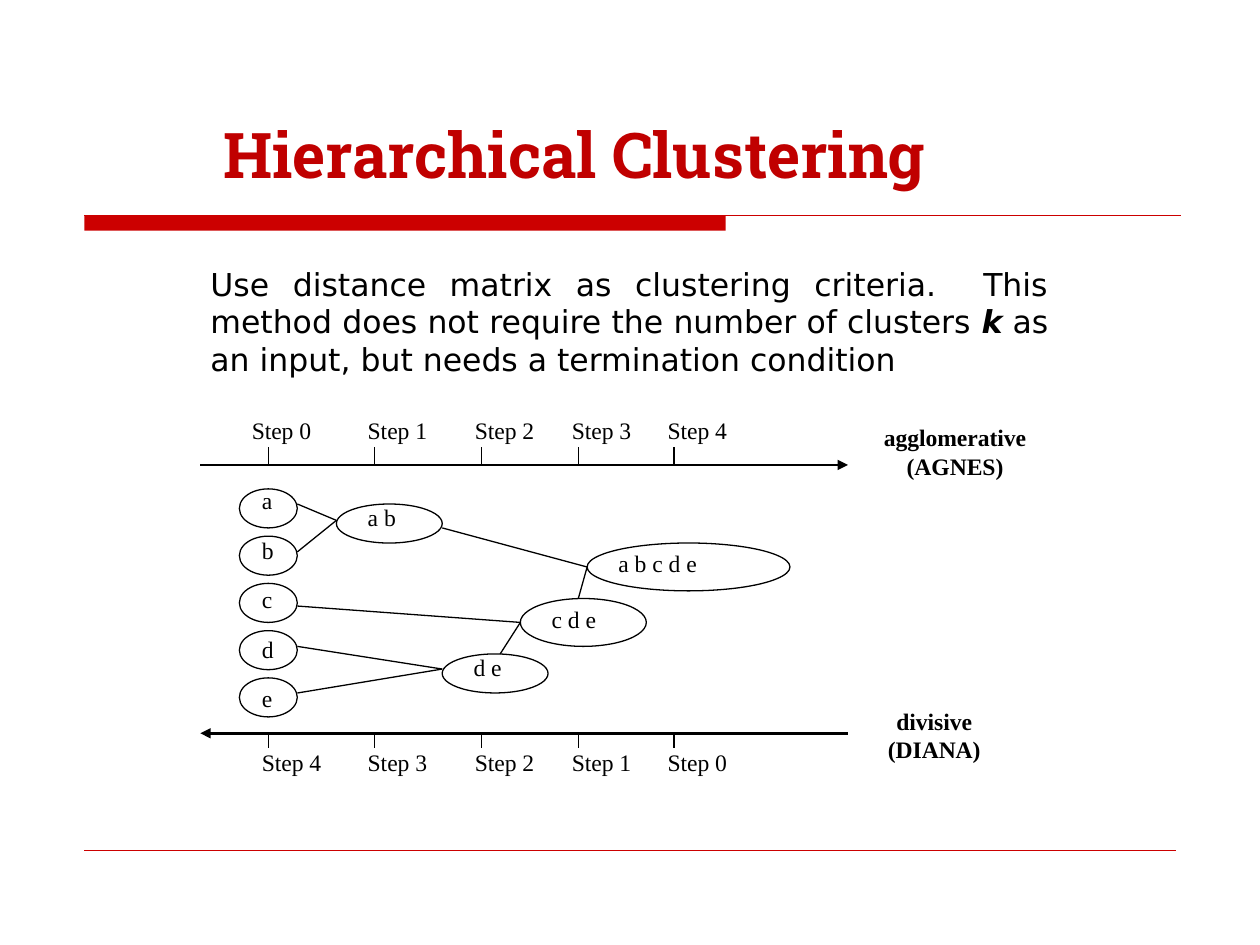
from dataclasses import dataclass

from lxml import etree
from pptx import Presentation
from pptx.dml.color import RGBColor
from pptx.enum.shapes import MSO_CONNECTOR, MSO_SHAPE
from pptx.enum.text import MSO_ANCHOR, PP_ALIGN
from pptx.oxml.ns import qn
from pptx.util import Inches, Pt

STRAIGHT = MSO_CONNECTOR.STRAIGHT
OVAL, RECTANGLE = MSO_SHAPE.OVAL, MSO_SHAPE.RECTANGLE
LEFT, CENTER, JUSTIFY = PP_ALIGN.LEFT, PP_ALIGN.CENTER, PP_ALIGN.JUSTIFY
TOP, MIDDLE = MSO_ANCHOR.TOP, MSO_ANCHOR.MIDDLE


@dataclass(frozen=True)
class Theme:
    """Colours, fonts and sizes of the slide."""
    ink: RGBColor = RGBColor(0, 0, 0)
    title: RGBColor = RGBColor(0xC0, 0, 0)
    accent: RGBColor = RGBColor(0xCC, 0, 0)
    title_font: str = "Roboto Slab"
    body_font: str = "DejaVu Sans"
    diagram_font: str = "Times New Roman"
    title_size: float = 36
    body_size: float = 18
    diagram_size: float = 13.5
    thin: float = 0.75
    rule: float = 1
    axis: float = 1.5


THEME = Theme()

TICKS = (2.13, 2.97, 3.82, 4.59, 5.35)
AXIS_LEFT, AXIS_RIGHT = 1.59, 6.73
TICK_LENGTH = 0.13
LABEL_OFFSET = 0.15

LEAF_LEFT, LEAF_TOP, LEAF_PITCH = 1.9, 3.88, 0.375
LEAF_WIDTH, LEAF_HEIGHT = 0.46, 0.31
LEAF_LABEL_TOP, LEAF_LABEL_PITCH = 3.81, 0.3925
LEAF_RIGHT = LEAF_LEFT + LEAF_WIDTH

MERGED_CLUSTERS = (
    ("a b", (2.67, 4, 0.84, 0.31), 3.94),
    ("d e", (3.51, 5.19, 0.84, 0.31), 5.13),
    ("c d e", (4.13, 4.75, 1, 0.38), 4.75),
    ("a b c d e", (4.66, 4.31, 1.61, 0.38), 4.31),
)
LINKS = (
    ((LEAF_RIGHT, 4), (2.67, 4.13)),
    ((LEAF_RIGHT, 4.38), (2.67, 4.13)),
    ((LEAF_RIGHT, 5.13), (3.51, 5.31)),
    ((LEAF_RIGHT, 5.5), (3.51, 5.31)),
    ((LEAF_RIGHT, 4.81), (4.13, 4.94)),
    ((3.97, 5.19), (4.13, 4.94)),
    ((3.51, 4.19), (4.66, 4.5)),
    ((4.59, 4.75), (4.66, 4.5)),
)


def place(shape, box):
    """Set the position and size of a shape in inches."""
    shape.left, shape.top, shape.width, shape.height = map(Inches, box)


def add_run(paragraph, text, font, size, color, bold=False, italic=False):
    """Append one formatted run."""
    run = paragraph.add_run()
    run.text = text
    run.font.name = font
    run.font.size = Pt(size)
    run.font.color.rgb = color
    run.font.bold = bold
    run.font.italic = italic


def set_frame(frame, anchor, side, edge):
    """Set wrapping, anchor and insets of a text frame."""
    frame.word_wrap = True
    frame.vertical_anchor = anchor
    frame.margin_left = frame.margin_right = Inches(side)
    frame.margin_top = frame.margin_bottom = Inches(edge)


def add_line(slide, start, end, width, color=THEME.ink, arrow=None):
    """Draw a straight line, with an arrowhead if an end is named."""
    line = slide.shapes.add_connector(STRAIGHT, *map(Inches, start + end))
    line.line.color.rgb = color
    line.line.width = Pt(width)
    if arrow:
        etree.SubElement(line.line._get_or_add_ln(), qn(f"a:{arrow}"), type="triangle")
    etree.SubElement(line._element.spPr, qn("a:effectLst"))


def add_label(slide, box, *lines, align=LEFT, bold=False):
    """Add diagram text, one paragraph for each line."""
    frame = slide.shapes.add_textbox(*map(Inches, box)).text_frame
    set_frame(frame, TOP, 0.1, 0.05)
    for index, text in enumerate(lines):
        paragraph = frame.add_paragraph() if index else frame.paragraphs[0]
        paragraph.alignment = align
        add_run(paragraph, text, THEME.diagram_font, THEME.diagram_size, THEME.ink, bold)


def add_cluster(slide, box, text, label_box):
    """Draw a cluster outline and its members."""
    add_label(slide, label_box, text)
    ellipse = slide.shapes.add_shape(OVAL, *map(Inches, box))
    ellipse.shadow.inherit = False
    ellipse.fill.background()
    ellipse.line.color.rgb = THEME.ink
    ellipse.line.width = Pt(THEME.thin)


def add_axis(slide, y, arrow, steps, tick_top, label_top, first_label_left):
    """Draw a step axis with ticks and labels."""
    add_line(slide, (AXIS_LEFT, y), (AXIS_RIGHT, y), THEME.axis, arrow=arrow)
    label_lefts = [first_label_left] + [x - LABEL_OFFSET for x in TICKS[1:]]
    for x, left, step in zip(TICKS, label_lefts, steps):
        add_line(slide, (x, tick_top), (x, tick_top + TICK_LENGTH), THEME.thin)
        add_label(slide, (left, label_top, 0.8, 0.33), f"Step {step}")


def add_rules(slide):
    """Draw the red bar and the two red rules."""
    bar = slide.shapes.add_shape(RECTANGLE, *map(Inches, (0.67, 1.71, 5.09, 0.12)))
    bar.shadow.inherit = False
    bar.fill.solid()
    bar.fill.fore_color.rgb = THEME.accent
    bar.line.fill.background()
    add_line(slide, (0.67, 1.71), (9.37, 1.71), THEME.rule, THEME.accent)
    add_line(slide, (0.67, 6.75), (9.33, 6.75), THEME.rule, THEME.accent)


def add_title(slide):
    """Fill and place the title."""
    title = slide.shapes.title
    place(title, (1.69, 1.04, 5.99, 0.36))
    set_frame(title.text_frame, MIDDLE, 0.08, 0.04)
    paragraph = title.text_frame.paragraphs[0]
    paragraph.alignment = LEFT
    add_run(paragraph, "Hierarchical Clustering", THEME.title_font,
            THEME.title_size, THEME.title, bold=True)


def add_summary(slide):
    """Add the justified introduction."""
    frame = slide.shapes.add_textbox(*map(Inches, (1.59, 2.06, 6.81, 4))).text_frame
    set_frame(frame, TOP, 0.08, 0.04)
    paragraph = frame.paragraphs[0]
    paragraph.alignment = JUSTIFY
    for text, strong in (
        ("Use distance matrix as clustering criteria.  This method does not "
         "require the number of clusters ", False),
        ("k", True),
        (" as an input, but needs a termination condition", False),
    ):
        add_run(paragraph, text, THEME.body_font, THEME.body_size, THEME.ink, strong, strong)


def add_clusters(slide):
    """Draw single items, merged clusters and their links."""
    for row, item in enumerate("abcde"):
        add_cluster(slide, (LEAF_LEFT, LEAF_TOP + row * LEAF_PITCH, LEAF_WIDTH, LEAF_HEIGHT),
                    item, (1.98, LEAF_LABEL_TOP + row * LEAF_LABEL_PITCH, 0.36, 0.33))
    for members, box, label_top in MERGED_CLUSTERS:
        label_width = 0.28 + 0.08 * len(members)
        add_cluster(slide, box, members, (box[0] + LABEL_OFFSET, label_top, label_width, 0.33))
    for start, end in LINKS:
        add_line(slide, start, end, THEME.thin)


def main():
    """Build and save the slide."""
    deck = Presentation()
    deck.slide_width, deck.slide_height = Inches(10), Inches(7.5)
    slide = deck.slides.add_slide(deck.slide_layouts[5])
    add_rules(slide)
    add_title(slide)
    add_summary(slide)
    add_axis(slide, 3.69, "tailEnd", range(5), 3.55, 3.25, 1.9)
    add_clusters(slide)
    add_axis(slide, 5.82, "headEnd", range(4, -1, -1), 5.81, 5.89, 1.98)
    add_label(slide, (6.75, 3.31, 1.66, 0.56), "agglomerative", "(AGNES)", align=CENTER, bold=True)
    add_label(slide, (6.83, 5.56, 1.17, 0.56), "divisive", "(DIANA)", align=CENTER, bold=True)
    deck.save("out.pptx")


if __name__ == "__main__":
    main()
